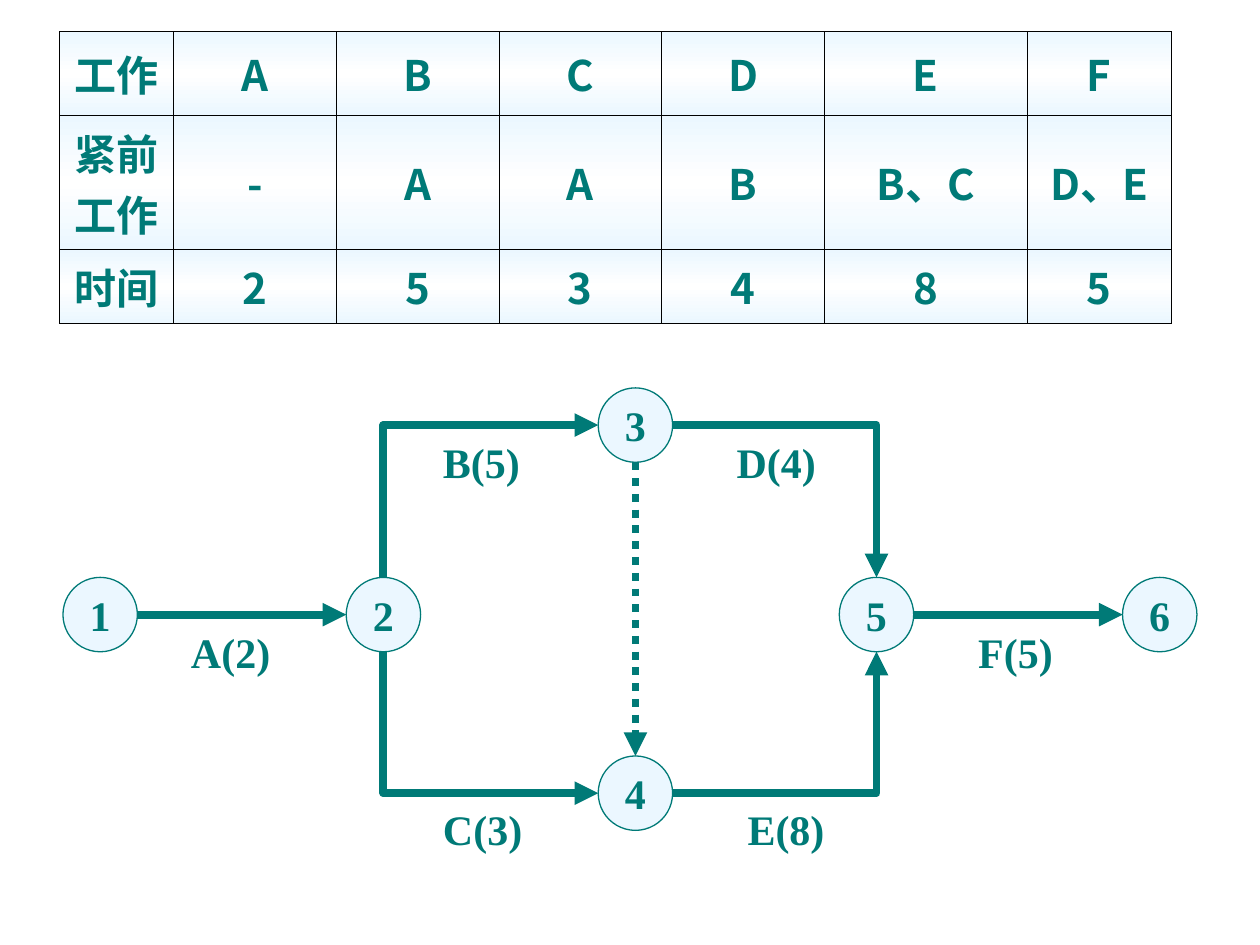
from lxml.etree import SubElement
from pptx import Presentation
from pptx.dml.color import RGBColor
from pptx.enum.dml import MSO_LINE
from pptx.enum.shapes import MSO_CONNECTOR, MSO_SHAPE
from pptx.enum.text import MSO_ANCHOR, MSO_AUTO_SIZE, PP_ALIGN
from pptx.oxml.ns import qn
from pptx.util import Cm, Pt

TEAL, PALE, WHITE, BLACK = "007A77", "EBF7FF", "FFFFFF", "000000"
TABLE_FONT, DIAGRAM_FONT = "Noto Sans CJK SC", "Times New Roman"
DIAMETER = 1.5

COLUMN_WIDTHS = [2.3, 3.28, 3.28, 3.28, 3.28, 4.09, 2.9]
ROW_HEIGHTS = [1.68, 2.29, 1.27]
TABLE_ROWS = [
    ["工作", "A", "B", "C", "D", "E", "F"],
    ["紧前\n工作", "-", "A", "A", "B", "B、C", "D、E"],
    ["时间", "2", "5", "3", "4", "8", "5"],
]
NODES = {
    "1": (1.27, 11.64),
    "2": (6.98, 11.64),
    "3": (12.06, 7.82),
    "4": (12.06, 15.24),
    "5": (16.92, 11.64),
    "6": (22.63, 11.64),
}
LABELS = [
    ("A(2)", 3.6, 12.5),
    ("B(5)", 8.68, 8.68),
    ("C(3)", 8.68, 16.08),
    ("D(4)", 14.6, 8.68),
    ("E(8)", 14.82, 16.08),
    ("F(5)", 19.47, 12.5),
]
SITES = {"top": (0, 0.5, 0), "left": (2, 0, 0.5), "bottom": (4, 0.5, 1), "right": (6, 1, 0.5)}
ACTIVITIES = [
    ("1", "right", "2", "left"),
    ("2", "top", "3", "left"),
    ("2", "bottom", "4", "left"),
    ("3", "right", "5", "top"),
    ("4", "right", "5", "bottom"),
    ("5", "right", "6", "left"),
]


def color(value):
    """Turn a hex string into a colour."""
    return RGBColor.from_string(value)


def add_run(paragraph, text, font_name):
    """Add one bold teal run."""
    run = paragraph.add_run()
    run.text = text
    run.font.size = Pt(24)
    run.font.bold = True
    run.font.name = font_name
    run.font.color.rgb = color(TEAL)
    SubElement(run.font._element, qn("a:ea"), typeface=font_name)


def add_solid(parent, value):
    """Add a solid fill element."""
    fill = SubElement(parent, qn("a:solidFill"))
    SubElement(fill, qn("a:srgbClr"), val=value)


def format_cell(cell):
    """Give a cell thin borders and a vertical gradient."""
    properties = cell._tc.get_or_add_tcPr()
    for side in ("lnL", "lnR", "lnT", "lnB"):
        add_solid(SubElement(properties, qn(f"a:{side}"), w=str(Pt(0.45))), BLACK)
    gradient = SubElement(properties, qn("a:gradFill"), rotWithShape="1")
    stops = SubElement(gradient, qn("a:gsLst"))
    for position, value in ((0, PALE), (50000, WHITE), (100000, PALE)):
        stop = SubElement(stops, qn("a:gs"), pos=str(position))
        SubElement(stop, qn("a:srgbClr"), val=value)
    SubElement(gradient, qn("a:lin"), ang="5400000", scaled="1")


def fill_cell(cell, text):
    """Write centred lines with a hanging indent into a cell."""
    cell.vertical_anchor = MSO_ANCHOR.MIDDLE
    frame = cell.text_frame
    for index, line in enumerate(text.split("\n")):
        paragraph = frame.add_paragraph() if index else frame.paragraphs[0]
        paragraph.alignment = PP_ALIGN.CENTER
        properties = paragraph._p.get_or_add_pPr()
        properties.set("marL", str(Cm(0.95)))
        properties.set("indent", str(-Cm(0.95)))
        add_run(paragraph, line, TABLE_FONT)


def add_activity_table(slide):
    """Add the table of activities, predecessors and durations."""
    table = slide.shapes.add_table(
        len(ROW_HEIGHTS), len(COLUMN_WIDTHS), Cm(1.2), Cm(0.64),
        Cm(sum(COLUMN_WIDTHS)), Cm(sum(ROW_HEIGHTS)),
    ).table
    table.first_row = table.horz_banding = False
    for column, width in zip(table.columns, COLUMN_WIDTHS):
        column.width = Cm(width)
    for row, height, texts in zip(table.rows, ROW_HEIGHTS, TABLE_ROWS):
        row.height = Cm(height)
        for cell, text in zip(row.cells, texts):
            fill_cell(cell, text)
            format_cell(cell)


def add_node(slide, name, left, top):
    """Add a numbered event circle."""
    shape = slide.shapes.add_shape(
        MSO_SHAPE.OVAL, Cm(left), Cm(top), Cm(DIAMETER), Cm(DIAMETER)
    )
    shape.shadow.inherit = False
    shape.fill.solid()
    shape.fill.fore_color.rgb = color(PALE)
    shape.line.color.rgb = color(TEAL)
    shape.line.width = Pt(0.75)
    frame = shape.text_frame
    frame.word_wrap = False
    frame.vertical_anchor = MSO_ANCHOR.MIDDLE
    paragraph = frame.paragraphs[0]
    paragraph.alignment = PP_ALIGN.CENTER
    add_run(paragraph, name, DIAGRAM_FONT)
    return shape


def add_label(slide, text, left, top):
    """Add an activity label."""
    frame = slide.shapes.add_textbox(Cm(left), Cm(top), Cm(2.3), Cm(1.27)).text_frame
    frame.word_wrap = True
    frame.auto_size = MSO_AUTO_SIZE.SHAPE_TO_FIT_TEXT
    add_run(frame.paragraphs[0], text, DIAGRAM_FONT)


def site_point(shape, side):
    """Return the point where a side of a circle takes a connector."""
    _, across, down = SITES[side]
    return int(shape.left + across * shape.width), int(shape.top + down * shape.height)


def turn_vertical_first(connector, begin, end):
    """Rotate a bent connector so that it leaves its start vertically."""
    width, height = abs(end[1] - begin[1]), abs(end[0] - begin[0])
    connector.left = (begin[0] + end[0] - width) // 2
    connector.top = (begin[1] + end[1] - height) // 2
    connector.width, connector.height = width, height
    upward = end[1] < begin[1]
    transform = connector._element.spPr.xfrm
    transform.set("rot", "5400000" if upward else "16200000")
    transform.set("flipH", "1")
    transform.set("flipV", "1" if upward else "0")


def add_arrow(slide, nodes, source, source_side, target, target_side, dotted=False):
    """Join two circles with a straight or bent arrow."""
    begin = site_point(nodes[source], source_side)
    end = site_point(nodes[target], target_side)
    bent = begin[0] != end[0] and begin[1] != end[1]
    kind = MSO_CONNECTOR.ELBOW if bent else MSO_CONNECTOR.STRAIGHT
    connector = slide.shapes.add_connector(kind, *begin, *end)
    element = connector._element
    if bent:
        element.spPr.find(qn("a:prstGeom")).set("prst", "bentConnector2")
        if source_side in ("top", "bottom"):
            turn_vertical_first(connector, begin, end)
    links = element.nvCxnSpPr.cNvCxnSpPr
    for tag, name, side in (("stCxn", source, source_side), ("endCxn", target, target_side)):
        SubElement(links, qn(f"a:{tag}"), id=str(nodes[name].shape_id), idx=str(SITES[side][0]))
    connector.line.color.rgb = color(TEAL)
    connector.line.width = Pt(4.5)
    if dotted:
        connector.line.dash_style = MSO_LINE.ROUND_DOT
    SubElement(element.spPr.find(qn("a:ln")), qn("a:tailEnd"), type="triangle")
    SubElement(element.spPr, qn("a:effectLst"))


def main():
    """Build the slide with the table and its network diagram."""
    presentation = Presentation()
    presentation.slide_width, presentation.slide_height = Cm(25.4), Cm(19.05)
    slide = presentation.slides.add_slide(presentation.slide_layouts[6])
    add_activity_table(slide)
    nodes = {name: add_node(slide, name, *place) for name, place in NODES.items()}
    for label in LABELS:
        add_label(slide, *label)
    for activity in ACTIVITIES:
        add_arrow(slide, nodes, *activity)
    add_arrow(slide, nodes, "3", "bottom", "4", "top", dotted=True)
    presentation.save("out.pptx")


if __name__ == "__main__":
    main()
